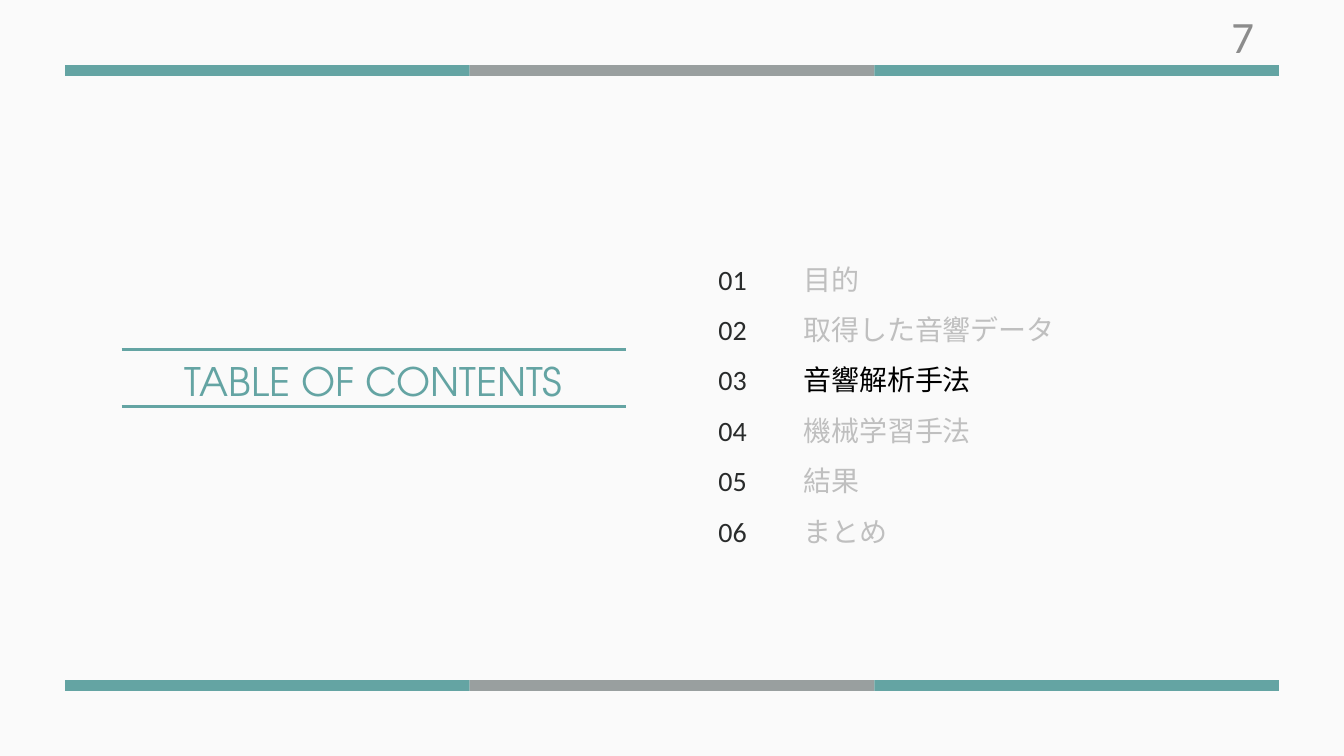
import pptx
import pptx.util
import pptx.dml.color
import pptx.enum.shapes
import pptx.enum.text
import pptx.oxml.ns
import lxml.etree

Inches, Pt = pptx.util.Inches, pptx.util.Pt
RGBColor = pptx.dml.color.RGBColor
ALIGN, ANCHOR = pptx.enum.text.PP_ALIGN, pptx.enum.text.MSO_ANCHOR
qn = pptx.oxml.ns.qn

# Content
TITLE = "TABLE OF CONTENTS"
PAGE = "7"
SECTIONS = ["目的", "取得した音響データ", "音響解析手法", "機械学習手法", "結果", "まとめ"]
CURRENT = 2

# Style
TEAL = RGBColor(0x64, 0xA4, 0xA3)
GRAY = RGBColor(0x99, 0x9F, 0x9F)
PAPER = RGBColor(0xFA, 0xFA, 0xFA)
INK = RGBColor(0x29, 0x2B, 0x2B)
FADED = RGBColor(0xBF, 0xBF, 0xBF)
BLACK = RGBColor(0, 0, 0)
PAGE_GRAY = RGBColor(0x8C, 0x8C, 0x8C)
LATIN, CJK, DISPLAY = "Calibri", "Noto Sans CJK SC", "TeX Gyre Adventor"

# Layout in inches
W, H = 20, 11.25
MARGIN = 0.97
BAR_H = 0.16
BAR_COLORS = [TEAL, GRAY, TEAL]
BAR_W = (W - 2 * MARGIN) / len(BAR_COLORS)
RULE_LEFT, RULE_RIGHT = 1.81, 9.31
RULES = [5.2, 6.05]
LIST_TOP, LIST_H = 3.65, 4.48
NUMBER_LEFT, NAME_LEFT, NAME_W = 10.69, 11.95, 5.65


def write(sp, lines, *, font, size, colors, align=ALIGN.LEFT,
          anchor=ANCHOR.TOP, inset=0, spacing=None):
    """Fill a shape with one paragraph per line; colors holds one per line."""
    tf = sp.text_frame
    tf.word_wrap = True
    tf.auto_size = pptx.enum.text.MSO_AUTO_SIZE.NONE
    tf.vertical_anchor = anchor
    tf.margin_left = tf.margin_right = Inches(inset)
    tf.margin_top = tf.margin_bottom = Inches(inset / 2)
    for i, (line, color) in enumerate(zip(lines, colors)):
        p = tf.paragraphs[0] if i == 0 else tf.add_paragraph()
        p.alignment = align
        if spacing:
            p.line_spacing = Pt(spacing)
        r = p.add_run()
        r.text = line
        r.font.name, r.font.size = font, Pt(size)
        r.font.color.rgb = color
        ea = lxml.etree.SubElement(r.font._element, qn("a:ea"))
        ea.set("typeface", font)


def add_box(s, left, top, width, height):
    return s.shapes.add_textbox(Inches(left), Inches(top), Inches(width), Inches(height))


prs = pptx.Presentation()
prs.slide_width, prs.slide_height = Inches(W), Inches(H)
s = prs.slides.add_slide(prs.slide_layouts[5])
s.background.fill.solid()
s.background.fill.fore_color.rgb = PAPER

# Three-part bars at top and bottom
for top in (MARGIN, H - MARGIN - BAR_H):
    for col, color in enumerate(BAR_COLORS):
        sp = s.shapes.add_shape(pptx.enum.shapes.MSO_SHAPE.RECTANGLE,
                                Inches(MARGIN + col * BAR_W), Inches(top),
                                Inches(BAR_W), Inches(BAR_H))
        sp.shadow.inherit = False
        sp.fill.solid()
        sp.fill.fore_color.rgb = color
        sp.line.fill.background()

# Section names and numbers
write(add_box(s, NAME_LEFT, LIST_TOP, NAME_W, LIST_H), SECTIONS,
      font=CJK, size=30, spacing=54,
      colors=[BLACK if i == CURRENT else FADED for i in range(len(SECTIONS))])
write(add_box(s, NUMBER_LEFT, LIST_TOP, NAME_LEFT - NUMBER_LEFT, LIST_H),
      [f"{i:02}" for i in range(1, len(SECTIONS) + 1)],
      font=LATIN, size=30, spacing=54, colors=[INK] * len(SECTIONS))

# Title between two rules
title = s.shapes.title
title.left, title.top = Inches(2.01), Inches(RULES[0])
title.width, title.height = Inches(7.1), Inches(0.78)
write(title, [TITLE], font=DISPLAY, size=42, colors=[TEAL],
      align=ALIGN.CENTER, spacing=58.8)
for y in RULES:
    rule = s.shapes.add_connector(pptx.enum.shapes.MSO_CONNECTOR.STRAIGHT,
                                  Inches(RULE_LEFT), Inches(y),
                                  Inches(RULE_RIGHT), Inches(y))
    rule.line.color.rgb = TEAL
    rule.line.width = Pt(3)
    lxml.etree.SubElement(rule._element.spPr, qn("a:effectLst"))

# Page number
write(add_box(s, 16.43, 0.33, 2.33, 0.4), [PAGE], font=LATIN, size=48,
      colors=[PAGE_GRAY], align=ALIGN.RIGHT, anchor=ANCHOR.MIDDLE, inset=0.1)

prs.save("out.pptx")
